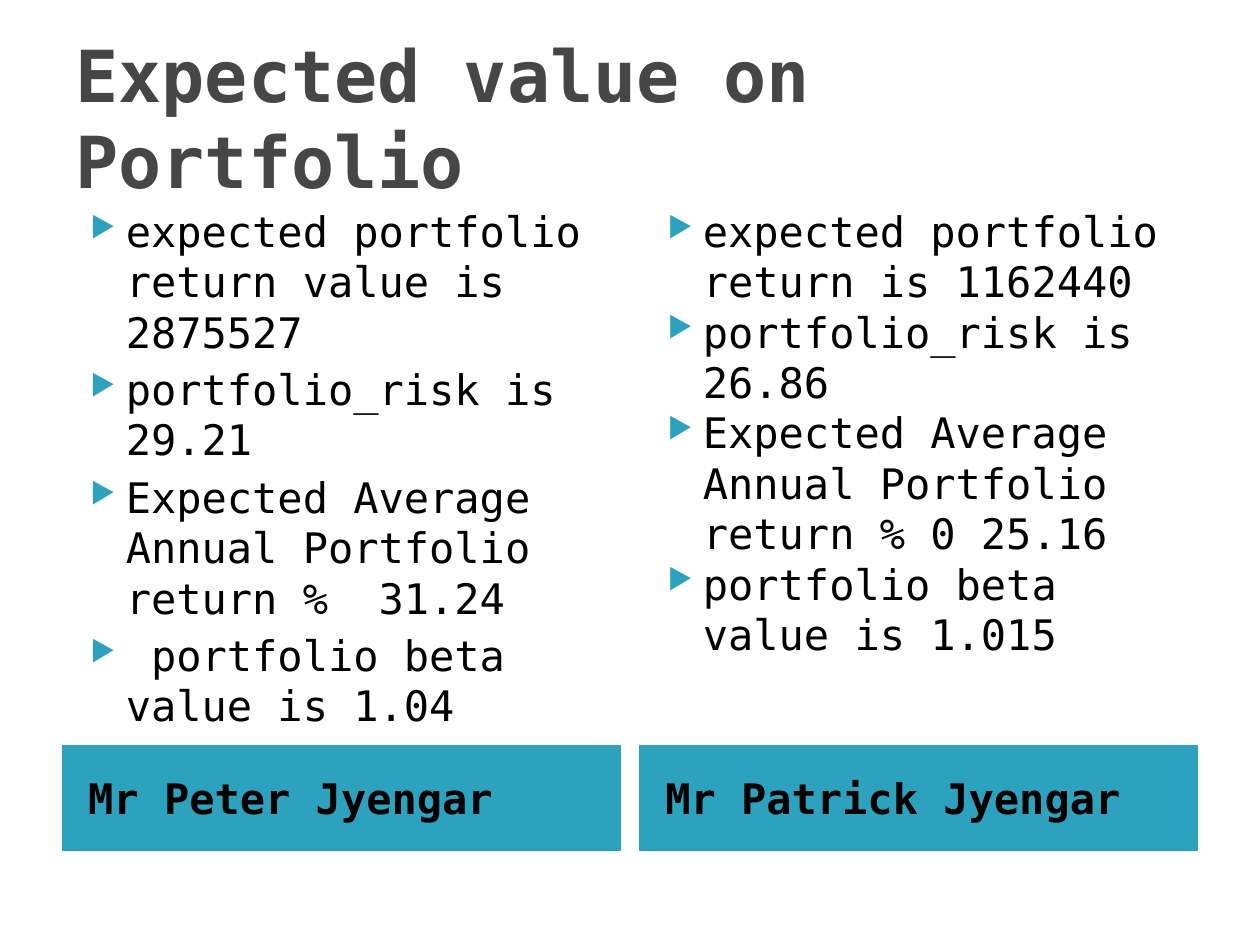
"""Build a slide comparing the expected portfolio values of two investors."""
from lxml.etree import SubElement
from pptx import Presentation
from pptx.dml.color import RGBColor
from pptx.enum.shapes import MSO_SHAPE
from pptx.enum.text import MSO_ANCHOR, PP_ALIGN
from pptx.oxml.ns import qn
from pptx.util import Pt

TITLE = "Expected value on Portfolio"
INVESTORS = [
    {
        "name": "Mr Peter Jyengar",
        "gap": 4,
        "findings": [
            "expected portfolio return value is 2875527",
            "portfolio_risk is 29.21",
            "Expected Average Annual Portfolio return %  31.24",
            " portfolio beta value is 1.04",
        ],
    },
    {
        "name": "Mr Patrick Jyengar",
        "gap": 0,
        "findings": [
            "expected portfolio return is 1162440",
            "portfolio_risk is 26.86",
            "Expected Average Annual Portfolio return % 0 25.16",
            "portfolio beta value is 1.015",
        ],
    },
]

COLORS = {"title": "464646", "text": "000000", "accent": "2DA2BF"}
FONT = "DejaVu Sans Mono"
SLIDE_WIDTH, SLIDE_HEIGHT = 720, 540
MARGIN, COLUMN_GAP = 36, 11.5
CONTENT_WIDTH = SLIDE_WIDTH - 2 * MARGIN
COLUMN_WIDTH = (CONTENT_WIDTH - COLUMN_GAP) / 2
TITLE_TOP, TITLE_HEIGHT = 21.6, 90
FINDINGS_TOP, FINDINGS_HEIGHT = 113.75, 310
NAME_TOP, NAME_HEIGHT = 426, 60


def add_bullet(paragraph):
    """Give the paragraph a hanging triangle bullet."""
    properties = paragraph._p.get_or_add_pPr()
    properties.set("marL", str(Pt(28.8)))
    properties.set("indent", str(Pt(-20.2)))
    tint = SubElement(properties, qn("a:buClr"))
    SubElement(tint, qn("a:srgbClr"), val=COLORS["accent"])
    SubElement(properties, qn("a:buSzPct"), val="68000")
    SubElement(properties, qn("a:buChar"), char="▶")


def add_text(slide, lines, left, top, width, height, size=24, color="text", bold=False,
             anchor=MSO_ANCHOR.TOP, gap=0, inset=7.2, fill=None, bullets=False):
    """Add a text box, or a filled rectangle, holding one paragraph per line."""
    place = [Pt(length) for length in (left, top, width, height)]
    if fill:
        holder = slide.shapes.add_shape(MSO_SHAPE.RECTANGLE, *place)
        holder.shadow.inherit = False
        holder.fill.solid()
        holder.fill.fore_color.rgb = RGBColor.from_string(COLORS[fill])
        holder.line.color.rgb = RGBColor.from_string(COLORS[fill])
        holder.line.width = Pt(0.75)
    else:
        holder = slide.shapes.add_textbox(*place)
    frame = holder.text_frame
    frame.word_wrap = True
    frame.vertical_anchor = anchor
    frame.margin_left = Pt(inset)
    for index, line in enumerate(lines):
        paragraph = frame.add_paragraph() if index else frame.paragraphs[0]
        paragraph.alignment = PP_ALIGN.LEFT
        paragraph.space_before = Pt(gap)
        if bullets:
            add_bullet(paragraph)
        run = paragraph.add_run()
        run.text = line
        run.font.name = FONT
        run.font.size = Pt(size)
        run.font.bold = bold
        run.font.color.rgb = RGBColor.from_string(COLORS[color])


def main():
    """Lay out the title and one column per investor."""
    presentation = Presentation()
    presentation.slide_width = Pt(SLIDE_WIDTH)
    presentation.slide_height = Pt(SLIDE_HEIGHT)
    slide = presentation.slides.add_slide(presentation.slide_layouts[6])
    add_text(slide, [TITLE], MARGIN, TITLE_TOP, CONTENT_WIDTH, TITLE_HEIGHT,
             size=41, color="title", bold=True, anchor=MSO_ANCHOR.MIDDLE)
    for column, investor in enumerate(INVESTORS):
        left = MARGIN + column * (COLUMN_WIDTH + COLUMN_GAP)
        add_text(slide, [investor["name"]], left, NAME_TOP, COLUMN_WIDTH, NAME_HEIGHT,
                 bold=True, anchor=MSO_ANCHOR.MIDDLE, gap=4, inset=14.4, fill="accent")
        add_text(slide, investor["findings"], left, FINDINGS_TOP, COLUMN_WIDTH,
                 FINDINGS_HEIGHT, gap=investor["gap"], bullets=True)
    presentation.save("out.pptx")


if __name__ == "__main__":
    main()
